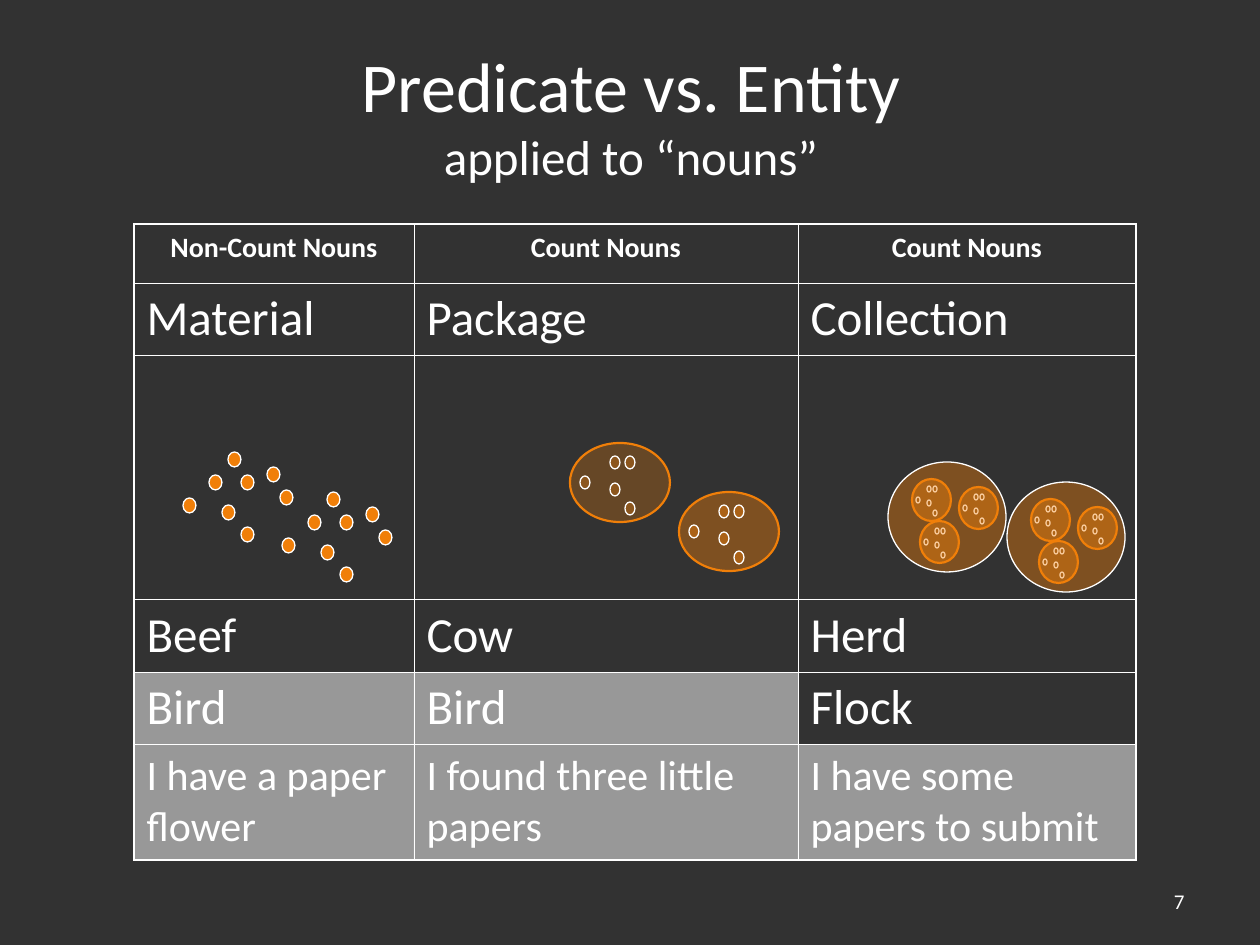
from lxml.etree import SubElement
from pptx import Presentation
from pptx.dml.color import RGBColor
from pptx.enum.shapes import MSO_SHAPE
from pptx.enum.text import MSO_ANCHOR, MSO_AUTO_SIZE, PP_ALIGN
from pptx.oxml import parse_xml
from pptx.oxml.ns import nsdecls, qn
from pptx.util import Pt

PX = 914400 / 126
FONT = "Calibri"
COLORS = {"background": "323232", "white": "FFFFFF", "orange": "F07F09"}
RGB = {name: RGBColor.from_string(value) for name, value in COLORS.items()}


def paint(fill, parent, color, alpha):
    fill.solid()
    fill.fore_color.rgb = RGB[color]
    clr = next(parent.iter(qn("a:srgbClr")))
    SubElement(clr, qn("a:alpha")).set("val", str(alpha * 1000))


def add_ellipse(group, x, y, w, h, alpha, line="white", width=0.75):
    sp = group.shapes.add_shape(MSO_SHAPE.OVAL, *[round(v * PX) for v in (x, y, w, h)])
    sp.shadow.inherit = False
    if alpha:
        paint(sp.fill, sp._element.spPr, "orange", alpha)
    else:
        sp.fill.background()
    sp.line.color.rgb = RGB[line]
    sp.line.width = Pt(width)


prs = Presentation()
prs.slide_width, prs.slide_height = round(1260 * PX), round(945 * PX)
s = prs.slides.add_slide(prs.slide_layouts[5])
s.background.fill.solid()
s.background.fill.fore_color.rgb = RGB["background"]

title = s.shapes.title
title.left, title.top, title.width, title.height = [round(v * PX) for v in (64, 35, 1134, 158)]
tf = title.text_frame
tf.auto_size = MSO_AUTO_SIZE.NONE
tf.vertical_anchor = MSO_ANCHOR.MIDDLE
p = tf.paragraphs[0]
p.text = "Predicate vs. Entity\vapplied to “nouns”"
p.alignment = PP_ALIGN.CENTER
for r, size in zip(p.runs, (40, 28)):
    r.font.size = Pt(size)
    r.font.name = FONT
    r.font.color.rgb = RGB["white"]

rows = [
    ("Non-Count Nouns", "Count Nouns", "Count Nouns"),
    ("Material", "Package", "Collection"),
    ("", "", ""),
    ("Beef", "Cow", "Herd"),
    ("Bird", "Bird", "Flock"),
    ("I have a paper flower", "I found three little papers", "I have some papers to submit"),
]
col_widths = [280, 384, 338]
row_heights = [59, 72, 244, 72, 72, 114]
font_sizes = [16, 28, 28, 28, 28, 24]
spaces_before = [4, 7, 7, 7, 7, 6]
shaded = {(4, 0), (4, 1), (5, 0), (5, 1), (5, 2)}
last_row, last_col = len(rows) - 1, len(col_widths) - 1

box = [round(v * PX) for v in (134, 224, sum(col_widths), sum(row_heights))]
table = s.shapes.add_table(len(rows), len(col_widths), *box).table
table.first_row = table.horz_banding = False
for col, width in zip(table.columns, col_widths):
    col.width = round(width * PX)
for i, texts in enumerate(rows):
    table.rows[i].height = round(row_heights[i] * PX)
    for j, text in enumerate(texts):
        cell = table.cell(i, j)
        p = cell.text_frame.paragraphs[0]
        p.text = text
        p.alignment = PP_ALIGN.CENTER if i == 0 else PP_ALIGN.LEFT
        p.space_before = Pt(spaces_before[i])
        p.font.size = Pt(font_sizes[i])
        p.font.name = FONT
        p.font.bold = i == 0
        p.font.color.rgb = RGB["white"]
        cell.fill.background()
        tcPr = cell._tc.tcPr
        if (i, j) in shaded:
            paint(cell.fill, tcPr, "white", 50)
        outer = {"lnL": j == 0, "lnR": j == last_col, "lnT": i == 0, "lnB": i == last_row}
        for k, (tag, is_outer) in enumerate(outer.items()):
            width = Pt(1.08 if is_outer else 0.45)
            tcPr.insert(k, parse_xml(
                f'<a:{tag} {nsdecls("a")} w="{width}"><a:solidFill>'
                f'<a:srgbClr val="{COLORS["white"]}"/></a:solidFill></a:{tag}>'))

grains = [(0, 46), (45, 0), (39, 53), (58, 23), (58, 75), (26, 23), (84, 15), (97, 38)]
for x, y in [(183, 452), (282, 492)]:
    group = s.shapes.add_group_shape()
    for dx, dy in grains:
        add_ellipse(group, x + dx, y + dy, 13, 15, 100)

package_dots = [(10, 33), (40, 13), (40, 40), (55, 13), (55, 59)]
for x, y, alpha in [(570, 443, 28), (679, 492, 40)]:
    group = s.shapes.add_group_shape()
    add_ellipse(group, x, y, 100, 79, alpha, "orange", 1.25)
    for dx, dy in package_dots:
        add_ellipse(group, x + dx, y + dy, 10, 13, alpha)

members = [(32, 59), (24, 17), (71, 25)]
member_dots = [(4, 18), (15, 7), (15, 21), (21, 7), (21, 31)]
for x, y in [(888, 462), (1007, 482)]:
    group = s.shapes.add_group_shape()
    for mx, my in members:
        add_ellipse(group, x + mx, y + my, 39, 42, 43, "orange", 1.25)
        for dx, dy in member_dots:
            add_ellipse(group, x + mx + dx, y + my + dy, 4, 6, None)
    add_ellipse(group, x, y, 118, 110, 40)

number = s.shapes.add_textbox(*[round(v * PX) for v in (903, 876, 294, 50)])
tf = number.text_frame
tf.word_wrap = True
tf.vertical_anchor = MSO_ANCHOR.MIDDLE
p = tf.paragraphs[0]
p.text = "7"
p.alignment = PP_ALIGN.RIGHT
p.font.size = Pt(12)
p.font.name = FONT
p.font.color.rgb = RGB["white"]

prs.save("out.pptx")
